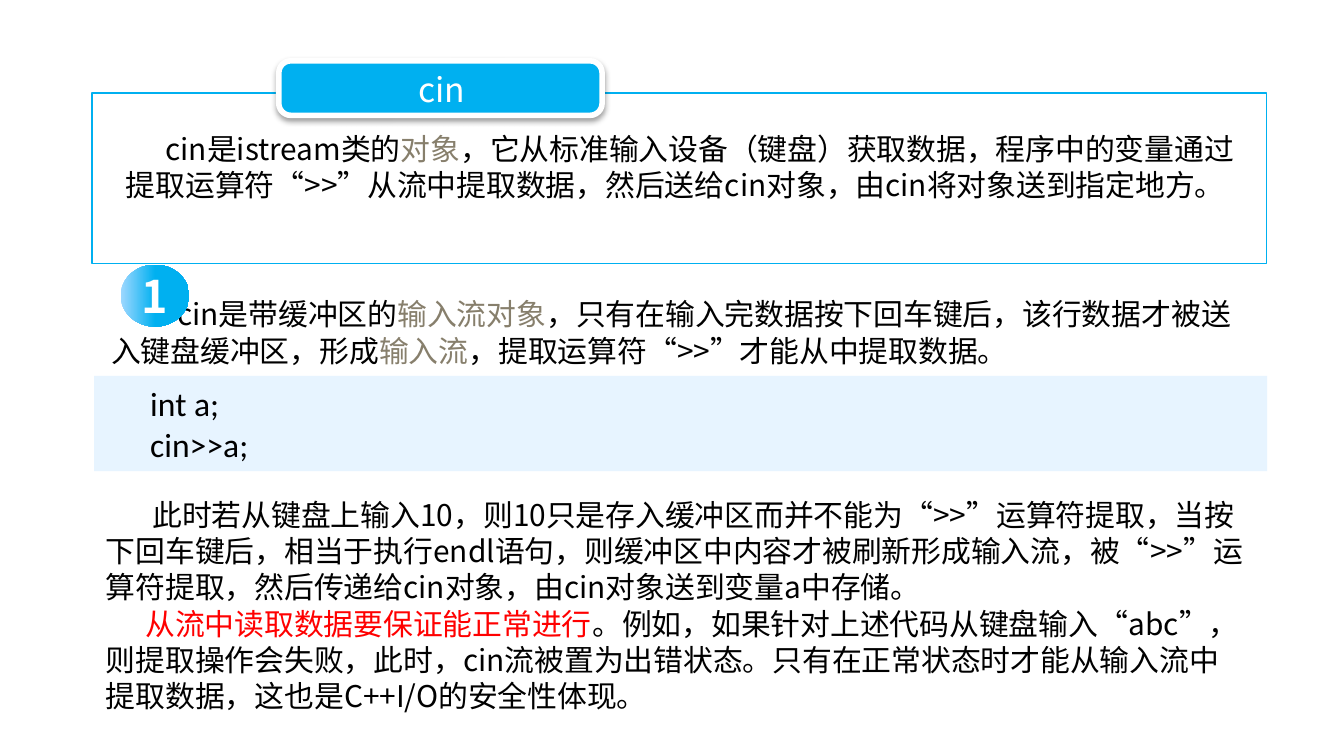
from dataclasses import dataclass

from lxml import etree
from pptx import Presentation
from pptx import util as u
from pptx.dml.color import RGBColor
from pptx.enum import shapes, text
from pptx.oxml.ns import qn


@dataclass(frozen=True)
class Theme:
    accent: str = "00B0F0"
    accent_light: str = "9FD8FF"
    code_fill: str = "E7F4FF"
    white: str = "FFFFFF"
    ink: str = "000000"
    term: str = "877F6C"
    warning: str = "FF0000"
    font: str = "Noto Sans CJK SC"
    code_font: str = "Calibri"
    body_size: float = 16
    label_size: float = 18
    number_size: float = 24
    leading: float = 1.21


@dataclass(frozen=True)
class Box:
    left: float
    top: float
    width: float
    height: float

    def lengths(self) -> tuple:
        return tuple(u.Cm(v) for v in (self.left, self.top, self.width, self.height))


@dataclass(frozen=True)
class Span:
    words: str
    color: str


@dataclass(frozen=True)
class Passage:
    spans: tuple
    indent: float = 0


THEME = Theme()


def plain(words: str) -> Span:
    return Span(words, THEME.ink)


def term(words: str) -> Span:
    return Span(words, THEME.term)


TEXT_BLOCKS = [
    (Box(2.13, 2.34, 21.49, 2.31), [
        Passage((
            plain("cin是istream类的"), term("对象"),
            plain("，它从标准输入设备（键盘）获取数据，程序中的变量通过提取运算符“>>”从流中提取数据，"
                  "然后送给cin对象，由cin将对象送到指定地方。")), 0.75)]),
    (Box(1.85, 5.46, 22.1, 1.63), [
        Passage((
            plain("cin是带缓冲区的"), term("输入流对象"),
            plain("，只有在输入完数据按下回车键后，该行数据才被送入键盘缓冲区，形成"),
            term("输入流"), plain("，提取运算符“>>”才能从中提取数据。")), 1.25)]),
    (Box(1.75, 9.25, 22.07, 4.37), [
        Passage((
            plain("此时若从键盘上输入10，则10只是存入缓冲区而并不能为“>>”运算符提取，"
                  "当按下回车键后，相当于执行endl语句，则缓冲区中内容才被刷新形成输入流，"
                  "被“>>”运算符提取，然后传递给cin对象，由cin对象送到变量a中存储。"),), 0.88),
        Passage((
            Span("从流中读取数据要保证能正常进行", THEME.warning),
            plain("。例如，如果针对上述代码从键盘输入“abc”，则提取操作会失败，此时，"
                  "cin流被置为出错状态。只有在正常状态时才能从输入流中提取数据，"
                  "这也是C++I/O的安全性体现。")), 0.75)]),
]
CODE = [Passage((plain(line),)) for line in ("int a;", "cin>>a;")]


def rgb(color: str) -> RGBColor:
    return RGBColor.from_string(color)


def style_paragraph(paragraph, size: float, font: str = THEME.font) -> None:
    """Set one typeface for Latin and East Asian text, with even leading."""
    paragraph.line_spacing = u.Pt(round(size * THEME.leading, 1))
    paragraph.font.size = u.Pt(size)
    paragraph.font.name = font
    properties = paragraph._p.pPr.find(qn("a:defRPr"))
    etree.SubElement(properties, qn("a:ea"), typeface=font)


def write_passages(frame, passages: list, size: float, font: str = THEME.font) -> None:
    frame.word_wrap = True
    for index, passage in enumerate(passages):
        paragraph = frame.add_paragraph() if index else frame.paragraphs[0]
        paragraph._p.get_or_add_pPr().set("indent", str(u.Cm(passage.indent)))
        style_paragraph(paragraph, size, font)
        for span in passage.spans:
            run = paragraph.add_run()
            run.text = span.words
            run.font.color.rgb = rgb(span.color)


def add_text(slide, box: Box, passages: list, size: float, font: str = THEME.font) -> None:
    frame = slide.shapes.add_textbox(*box.lengths()).text_frame
    write_passages(frame, passages, size, font)


def add_panel(slide, kind, box: Box, fill: str, line: str = "", line_width: float = 0):
    shape = slide.shapes.add_shape(kind, *box.lengths())
    shape.shadow.inherit = False
    shape.fill.solid()
    shape.fill.fore_color.rgb = rgb(fill)
    if line:
        shape.line.color.rgb = rgb(line)
        shape.line.width = u.Pt(line_width)
    else:
        shape.line.fill.background()
    return shape


def add_soft_shadow(shape) -> None:
    effects = shape._element.spPr.find(qn("a:effectLst"))
    shadow = etree.SubElement(
        effects, qn("a:outerShdw"), blurRad=str(u.Pt(3.1)), dist=str(u.Pt(1.6)),
        dir="5400000", rotWithShape="0")
    color = etree.SubElement(shadow, qn("a:srgbClr"), val=THEME.ink)
    etree.SubElement(color, qn("a:alpha"), val="38000")


def place_title(slide, box: Box) -> None:
    """Lay the title over its tab, which is drawn after the placeholder."""
    title = slide.shapes.title
    title.left, title.top, title.width, title.height = box.lengths()
    frame = title.text_frame
    write_passages(frame, [Passage((Span("cin", THEME.white),))], THEME.label_size)
    frame.auto_size = text.MSO_AUTO_SIZE.NONE
    frame.vertical_anchor = text.MSO_ANCHOR.TOP
    frame.paragraphs[0].alignment = text.PP_ALIGN.CENTER
    slide.shapes._spTree.append(title._element)


def add_number(slide, box: Box, number: str) -> None:
    badge = add_panel(slide, shapes.MSO_SHAPE.OVAL, box, THEME.accent)
    badge.fill.gradient()
    badge.fill.gradient_angle = 0
    stops = ((0, THEME.accent_light), (0.5, THEME.accent))
    for stop, (position, color) in zip(badge.fill.gradient_stops, stops):
        stop.position = position
        stop.color.rgb = rgb(color)
    frame = badge.text_frame
    write_passages(frame, [Passage((Span(number, THEME.white),))], THEME.number_size)
    frame.word_wrap = False
    frame.vertical_anchor = text.MSO_ANCHOR.MIDDLE
    paragraph = frame.paragraphs[0]
    paragraph.alignment = text.PP_ALIGN.CENTER
    paragraph.font.bold = True


def main() -> None:
    presentation = Presentation()
    presentation.slide_width, presentation.slide_height = u.Cm(25.4), u.Cm(14.28)
    slide = presentation.slides.add_slide(presentation.slide_layouts[5])
    rectangle = shapes.MSO_SHAPE.RECTANGLE

    add_panel(slide, rectangle, Box(1.74, 1.76, 22.2, 3.22), THEME.white, THEME.accent, 0.75)
    tab = add_panel(slide, shapes.MSO_SHAPE.ROUNDED_RECTANGLE,
                    Box(5.27, 1.15, 6.11, 1.03), THEME.accent, THEME.white, 3)
    tab.adjustments[0] = 0.22
    add_soft_shadow(tab)
    place_title(slide, Box(5.41, 1.17, 5.87, 1.02))

    add_panel(slide, rectangle, Box(1.78, 7.1, 22.17, 1.8), THEME.code_fill)
    add_text(slide, Box(2.59, 7.11, 12.7, 1.8), CODE, THEME.label_size, THEME.code_font)
    for box, passages in TEXT_BLOCKS:
        add_text(slide, box, passages, THEME.body_size)
    add_number(slide, Box(2.28, 5, 1.3, 1.17), "1")
    presentation.save("out.pptx")


if __name__ == "__main__":
    main()
